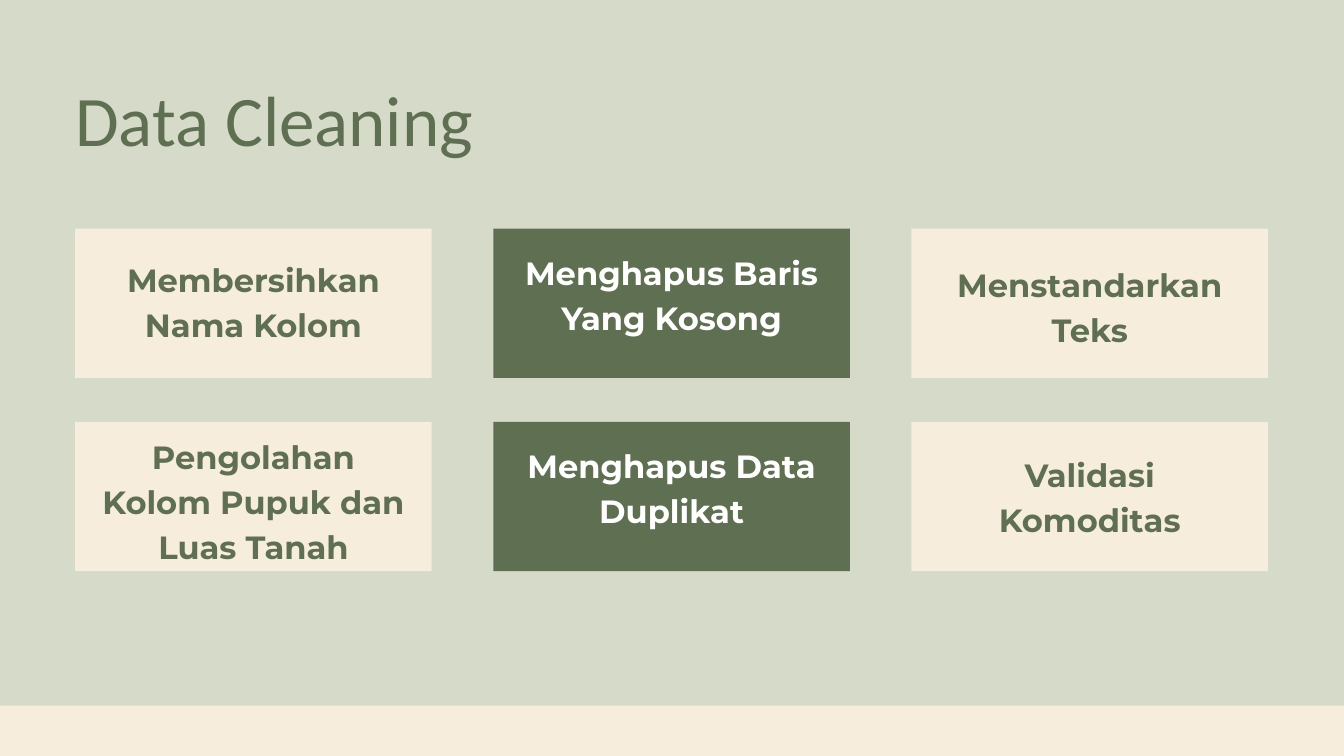
from dataclasses import dataclass

from pptx import Presentation
from pptx.dml.color import RGBColor
from pptx.enum.shapes import MSO_SHAPE
from pptx.enum.text import MSO_ANCHOR, PP_ALIGN
from pptx.util import Pt

RECTANGLE = MSO_SHAPE.RECTANGLE
LEFT, CENTER = PP_ALIGN.LEFT, PP_ALIGN.CENTER
TOP = MSO_ANCHOR.TOP


@dataclass(frozen=True)
class Theme:
    sage: RGBColor = RGBColor.from_string("D6DAC8")
    cream: RGBColor = RGBColor.from_string("F6EDDD")
    green: RGBColor = RGBColor.from_string("5F6F52")
    white: RGBColor = RGBColor.from_string("FFFFFF")
    title_font: str = "Calibri"
    card_font: str = "Montserrat"
    title_size: float = 76.1
    title_leading: float = 92.1
    card_size: float = 34.4
    card_leading: float = 48.1


theme = Theme()
title_style = {"name": theme.title_font, "size": Pt(theme.title_size), "bold": False}
card_style = {"name": theme.card_font, "size": Pt(theme.card_size), "bold": True}

prs = Presentation()
prs.slide_width, prs.slide_height = Pt(1440), Pt(810)
slide = prs.slides.add_slide(prs.slide_layouts[6])
slide.background.fill.solid()
slide.background.fill.fore_color.rgb = theme.sage


def add_panel(left, top, width, height, color):
    panel = slide.shapes.add_shape(RECTANGLE, Pt(left), Pt(top), Pt(width), Pt(height))
    panel.shadow.inherit = False
    panel.fill.solid()
    panel.fill.fore_color.rgb = color
    panel.line.fill.background()


def add_text(text, left, top, width, height, style, color, leading, align):
    frame = slide.shapes.add_textbox(Pt(left), Pt(top), Pt(width), Pt(height)).text_frame
    frame_format = {"word_wrap": True, "vertical_anchor": TOP, "margin_left": 0,
                    "margin_top": 0, "margin_right": 0, "margin_bottom": 0}
    for attribute, value in frame_format.items():
        setattr(frame, attribute, value)
    paragraph = frame.paragraphs[0]
    paragraph.alignment = align
    paragraph.line_spacing = Pt(leading)
    run = paragraph.add_run()
    run.text = text
    for attribute, value in style.items():
        setattr(run.font, attribute, value)
    run.font.color.rgb = color


# Bottom band, bleeding past the slide edges
add_panel(-23, 756, 1486, 74, theme.cream)

# Title
margin = 80.6
add_text("Data Cleaning", margin, 80, 1278, 91.5, title_style,
         theme.green, theme.title_leading, LEFT)

# Cleaning steps: a grid of cards, each with its label's drop from the card top
steps = [
    [("Membersihkan Nama Kolom", 27.4, 2),
     ("Menghapus Baris Yang Kosong", 20, 2),
     ("Menstandarkan Teks", 32.4, 2)],
    [("Pengolahan Kolom Pupuk dan Luas Tanah", 10, 3),
     ("Menghapus Data Duplikat", 20, 2),
     ("Validasi Komoditas", 29.5, 2)],
]
column_colors = [(theme.cream, theme.green), (theme.green, theme.white),
                 (theme.cream, theme.green)]
card_width, card_height = 382, 160
column_pitch, row_pitch = 448, 207
grid_top = 245
label_width = 326
label_inset = (card_width - label_width) / 2

for row, row_steps in enumerate(steps):
    top = grid_top + row * row_pitch
    for column, (label, drop, lines) in enumerate(row_steps):
        left = margin + column * column_pitch
        card_color, label_color = column_colors[column]
        add_panel(left, top, card_width, card_height, card_color)
        add_text(label, left + label_inset, top + drop, label_width,
                 lines * theme.card_leading, card_style, label_color,
                 theme.card_leading, CENTER)

prs.save("out.pptx")
